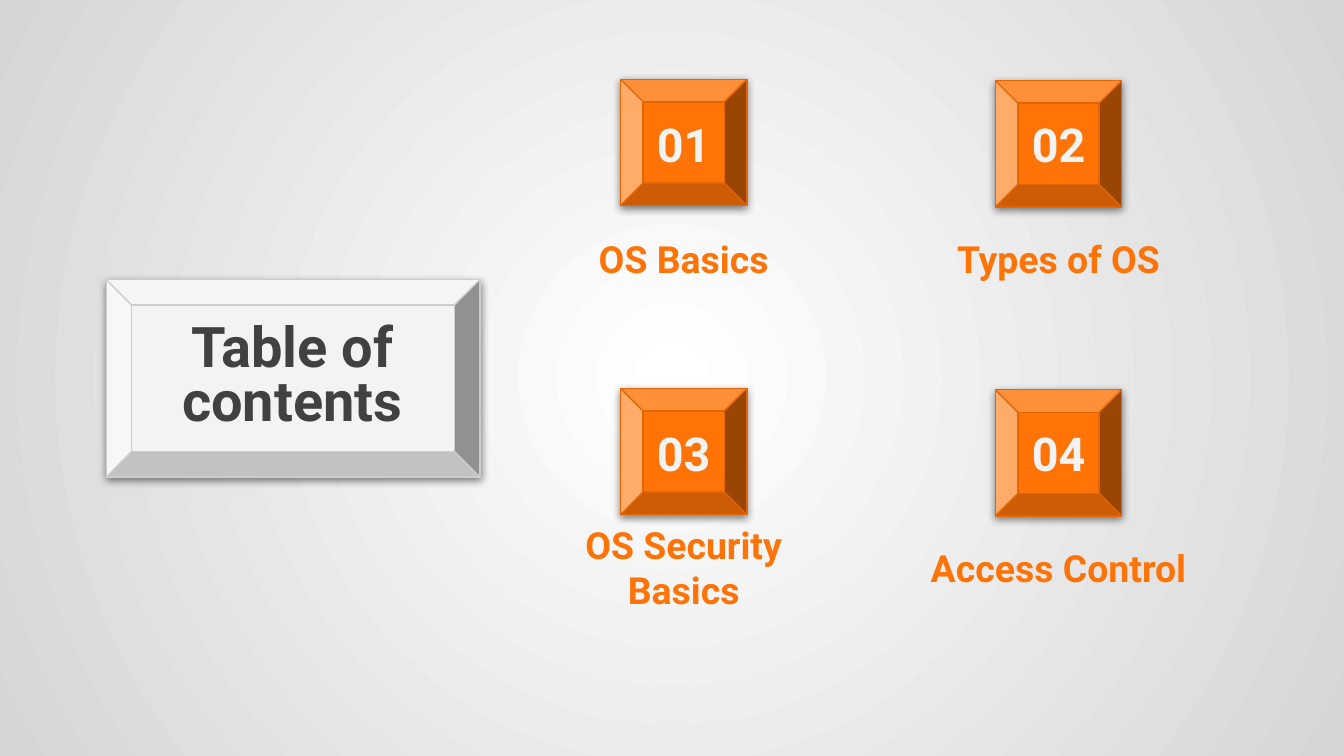
from pptx import Presentation
from pptx.dml.color import RGBColor
from pptx.enum.shapes import MSO_SHAPE
from pptx.enum.text import MSO_ANCHOR, PP_ALIGN
from pptx.oxml import parse_xml
from pptx.oxml.ns import nsdecls, qn
from pptx.util import Pt

COLORS = {
    "orange": "FF7307",
    "orange_edge": "E46503",
    "pale": "F3F3F3",
    "pale_edge": "CCCCCC",
    "dark": "42413F",
    "center": "FFFFFF",
    "rim": "D6D6D6",
    "shadow": "000000",
}


def rgb(name):
    return RGBColor.from_string(COLORS[name])


class ContentsSlide:
    font = "Roboto"
    inset = Pt(7.2)

    def __init__(self, presentation):
        self.slide = presentation.slides.add_slide(presentation.slide_layouts[6])

    def radial_background(self, inner, outer):
        self.slide.background.fill.solid()
        properties = self.slide.element.find(".//" + qn("p:bgPr"))
        gradient = parse_xml(
            f'<a:gradFill {nsdecls("a")} rotWithShape="1"><a:gsLst>'
            f'<a:gs pos="0"><a:srgbClr val="{COLORS[inner]}"/></a:gs>'
            f'<a:gs pos="100000"><a:srgbClr val="{COLORS[outer]}"/></a:gs>'
            '</a:gsLst><a:path path="circle">'
            '<a:fillToRect l="50000" t="50000" r="50000" b="50000"/>'
            '</a:path></a:gradFill>'
        )
        properties.replace(properties[0], gradient)

    def bevel(self, left, top, width, height, depth, fill, edge):
        tile = self.slide.shapes.add_shape(
            MSO_SHAPE.BEVEL, Pt(left), Pt(top), Pt(width), Pt(height)
        )
        tile.adjustments[0] = depth
        tile.fill.solid()
        tile.fill.fore_color.rgb = rgb(fill)
        tile.line.color.rgb = rgb(edge)
        tile.line.width = Pt(0.75)
        tile.shadow.inherit = False
        effects = tile.element.spPr.find(qn("a:effectLst"))
        effects.append(parse_xml(
            f'<a:outerShdw {nsdecls("a")} blurRad="{Pt(4.5)}" dist="{Pt(1.5)}" '
            'dir="5400000" algn="bl" rotWithShape="0">'
            f'<a:srgbClr val="{COLORS["shadow"]}"><a:alpha val="50000"/></a:srgbClr>'
            '</a:outerShdw>'
        ))

    def heading(self, text, center, top, width, height, size, color, spacing=1.0):
        box = self.slide.shapes.add_textbox(
            Pt(center - width / 2), Pt(top), Pt(width), Pt(height)
        )
        frame = box.text_frame
        frame.word_wrap = True
        frame.vertical_anchor = MSO_ANCHOR.MIDDLE
        frame.margin_left = frame.margin_right = self.inset
        frame.margin_top = frame.margin_bottom = self.inset
        frame.text = text
        paragraph = frame.paragraphs[0]
        paragraph.alignment = PP_ALIGN.CENTER
        paragraph.line_spacing = spacing
        font = paragraph.runs[0].font
        font.name = self.font
        font.size = Pt(size)
        font.bold = True
        font.color.rgb = rgb(color)


def main():
    presentation = Presentation()
    presentation.slide_width = Pt(720)
    presentation.slide_height = Pt(405)
    contents = ContentsSlide(presentation)
    contents.radial_background("center", "rim")

    contents.bevel(56.9, 149.8, 200.2, 105.8, 0.128, "pale", "pale_edge")
    contents.heading("Table of contents", 156.6, 144.7, 172, 116, 30, "dark", 0.8)

    topics = ["OS Basics", "Types of OS", "OS Security Basics", "Access Control"]
    tile_size = 67.7
    for index, topic in enumerate(topics):
        row, column = divmod(index, 2)
        center = 366.3 + 200.8 * column
        top = 42.5 + 165.6 * row
        contents.bevel(center - tile_size / 2, top + 0.7 * column,
                       tile_size, tile_size, 0.179, "orange", "orange_edge")
        contents.heading(f"{index + 1:02}", center, top + 15.4, 100, 38, 25, "pale")
        contents.heading(topic, center, top + 80.4, 172, 31, 20, "orange")

    presentation.save("out.pptx")


if __name__ == "__main__":
    main()
